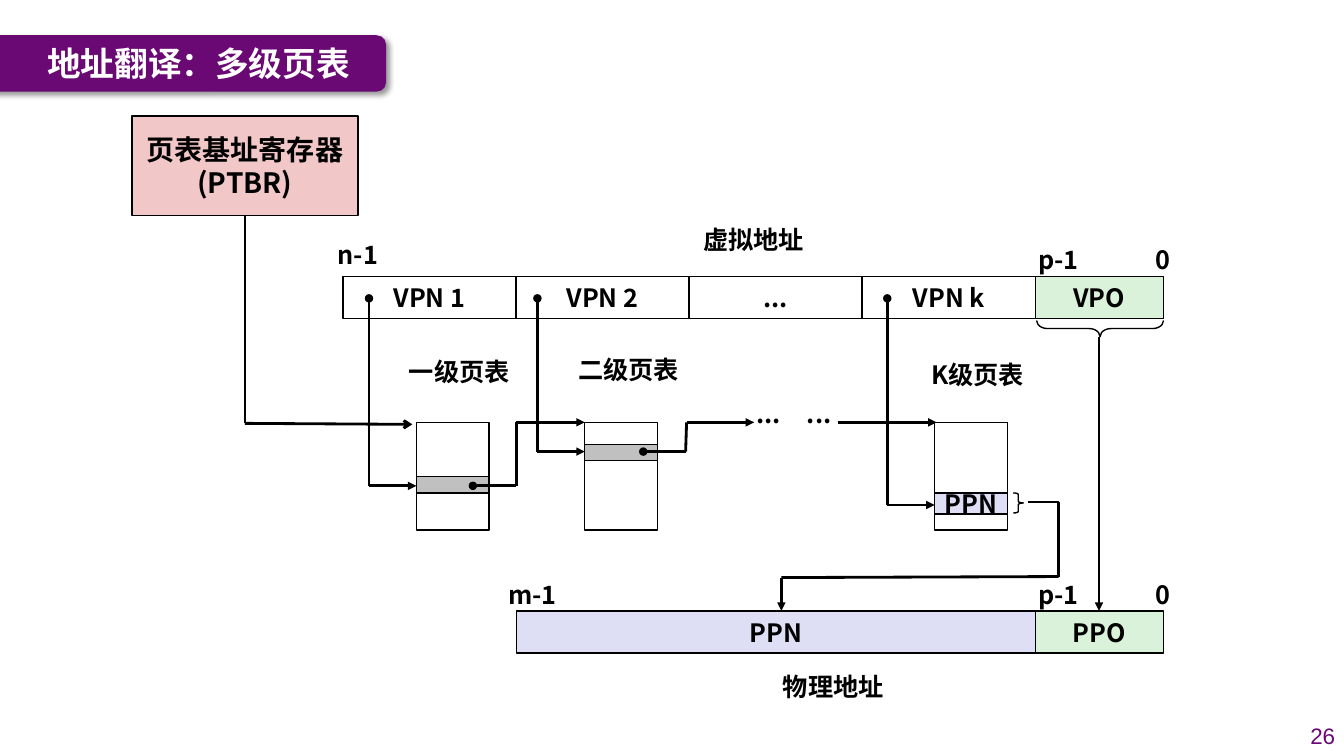
from itertools import pairwise

from lxml import etree
from pptx import Presentation
from pptx.dml.color import RGBColor
from pptx.enum.shapes import MSO_CONNECTOR, MSO_SHAPE as Shape
from pptx.enum.text import MSO_ANCHOR as Anchor, PP_ALIGN as Align
from pptx.oxml import parse_xml
from pptx.oxml.ns import nsdecls, qn
from pptx.util import Inches, Pt

COLORS = {"black": "000000", "white": "FFFFFF", "purple": "6A0874", "pink": "F1C7C7",
          "green": "DBF2DA", "lilac": "DEDFF5", "gray": "C0C0C0"}
CJK = "Noto Sans CJK SC"

# Virtual and physical address fields: text, width, fill
FIELD_HEIGHT = 0.42
ADDRESSES = [
    (3.4, 2.74, [("VPN 1", 1.717, None), ("VPN 2", 1.717, None), ("...", 1.717, None),
                 ("VPN k", 1.717, None), ("VPO", 1.27, "green")]),
    (5.12, 6.06, [("PPN", 5.15, "lilac"), ("PPO", 1.27, "green")]),
]

# Page tables: left, entry top, entry height, entry text, entry fill
TABLE_TOP, TABLE_WIDTH, TABLE_HEIGHT = 4.19, 0.72, 1.07
PAGE_TABLES = [
    (4.13, 4.73, 0.16, "", "gray"),
    (5.8, 4.41, 0.16, "", "gray"),
    (9.27, 4.89, 0.21, "PPN", "lilac"),
]

# Index paths from a VPN field into its page table: start x, entry y, table x
INDEX_TOP = 2.96
INDEX_PATHS = [(3.66, 4.82, 4.13), (5.33, 4.48, 5.8), (8.8, 5.01, 9.27)]

# Other paths: points, head, tail
PATHS = [
    ([(2.43, 2.14), (2.43, 4.2), (4.09, 4.21)], None, "arrow"),
    ([(4.69, 4.82), (5.12, 4.82), (5.12, 4.19), (5.8, 4.19)], "oval", "triangle"),
    ([(6.38, 4.48), (6.8, 4.48), (6.81, 4.19), (7.48, 4.19)], "oval", "triangle"),
    ([(8.31, 4.19), (9.29, 4.19)], None, "triangle"),
    ([(10.9, 3.34), (10.9, 6.06)], None, "triangle"),
    ([(10.2, 4.98), (10.5, 4.98), (10.5, 5.72), (7.75, 5.73), (7.75, 6.06)], None, "triangle"),
]

# Labels: text, left, top, width
LABEL_HEIGHT = 0.51
LABELS = [
    ("n-1", 3.15, 2.27, 0.8), ("p-1", 10.1, 2.32, 0.8), ("0", 11.31, 2.32, 0.45),
    ("m-1", 4.83, 5.64, 0.9), ("p-1", 10.1, 5.64, 0.8), ("0", 11.31, 5.64, 0.45),
    ("虚拟地址", 6.71, 2.12, 1.53), ("物理地址", 7.5, 6.55, 1.53),
    ("一级页表", 3.79, 3.43, 1.53), ("二级页表", 5.47, 3.41, 1.53),
    ("K级页表", 8.98, 3.46, 1.43),
    ("...", 7.36, 3.85, 0.53), ("...", 7.86, 3.85, 0.53),
]

# Braces: left, top, width, height, rotation, curve
BRACES = [(10.83, 2.63, 0.16, 1.26, 90, 0.68), (10.05, 4.89, 0.1, 0.2, 0, 0.16)]

deck = Presentation()
deck.slide_width, deck.slide_height = Inches(13.33), Inches(7.5)
page = deck.slides.add_slide(deck.slide_layouts[6])


def rgb(name):
    return RGBColor.from_string(COLORS[name])


def write(box, text, size=18, color="black", font=CJK, bold=True, align=Align.CENTER, wrap=False):
    frame = box.text_frame
    frame.word_wrap = wrap
    frame.vertical_anchor = Anchor.MIDDLE
    para = frame.paragraphs[0]
    para.alignment = align
    span = para.add_run()
    span.text = text
    for key, value in {"size": Pt(size), "name": font, "bold": bold}.items():
        setattr(span.font, key, value)
    span.font.color.rgb = rgb(color)
    east_asian = etree.SubElement(span.font._element, qn("a:ea"))
    east_asian.set("typeface", font)


def add_box(left, top, width, height, fill=None, line="black", kind=Shape.RECTANGLE):
    box = page.shapes.add_shape(kind, *map(Inches, (left, top, width, height)))
    box.shadow.inherit = False
    if fill:
        box.fill.solid()
        box.fill.fore_color.rgb = rgb(fill)
    else:
        box.fill.background()
    if line:
        box.line.color.rgb = rgb(line)
        box.line.width = Pt(1)
    else:
        box.line.fill.background()
    return box


def add_text(text, left, top, width, height, **formats):
    box = page.shapes.add_textbox(*map(Inches, (left, top, width, height)))
    write(box, text, **formats)


def add_path(points, head=None, tail=None):
    """Join the points with straight lines, with ends on the first and last."""
    segments = list(pairwise(points))
    for index, (start, end) in enumerate(segments):
        line = page.shapes.add_connector(MSO_CONNECTOR.STRAIGHT, *map(Inches, start + end))
        line.line.color.rgb = rgb("black")
        line.line.width = Pt(2)
        ends = {"a:headEnd": head if index == 0 else None,
                "a:tailEnd": tail if index == len(segments) - 1 else None}
        for tag, kind in ends.items():
            if kind:
                etree.SubElement(line.line._get_or_add_ln(), qn(tag)).set("type", kind)
        etree.SubElement(line._element.spPr, qn("a:effectLst"))


def add_shadow(box):
    effects = box._element.spPr.find(qn("a:effectLst"))
    effects.append(parse_xml(
        f'<a:outerShdw {nsdecls("a")} blurRad="{Pt(4)}" dist="{Pt(3)}" dir="2700000" '
        f'algn="tl" rotWithShape="0"><a:srgbClr val="{COLORS["black"]}">'
        '<a:alpha val="40000"/></a:srgbClr></a:outerShdw>'))


register = add_box(1.31, 1.15, 2.24, 0.99, "pink")
write(register, "页表基址寄存器 (PTBR)", size=20, wrap=True)

for left, top, fields in ADDRESSES:
    for text, width, fill in fields:
        write(add_box(left, top, width, FIELD_HEIGHT, fill), text)
        left += width

for left, entry_top, entry_height, text, fill in PAGE_TABLES:
    add_box(left, TABLE_TOP, TABLE_WIDTH, TABLE_HEIGHT)
    entry = add_box(left, entry_top, TABLE_WIDTH, entry_height, fill)
    if text:
        write(entry, text)

for x, entry_y, table_x in INDEX_PATHS:
    add_path([(x, INDEX_TOP), (x, entry_y), (table_x, entry_y)], "oval", "triangle")
for points, head, tail in PATHS:
    add_path(points, head, tail)

for text, left, top, width in LABELS:
    add_text(text, left, top, width, LABEL_HEIGHT)

for left, top, width, height, rotation, curve in BRACES:
    brace = add_box(left, top, width, height, kind=Shape.RIGHT_BRACE)
    brace.rotation = rotation
    brace.adjustments[0] = curve

add_shadow(add_box(-0.2, 0.35, 4.03, 0.56, "purple", None, Shape.ROUNDED_RECTANGLE))
add_text("地址翻译：多级页表", 0.37, 0.35, 3.27, 0.55,
         size=24, color="white", align=Align.LEFT, wrap=True)
add_text("26", 12.79, 7.1, 0.55, 0.4, size=16, color="purple", font="Arial",
         bold=False, align=Align.RIGHT, wrap=True)

deck.save("out.pptx")
